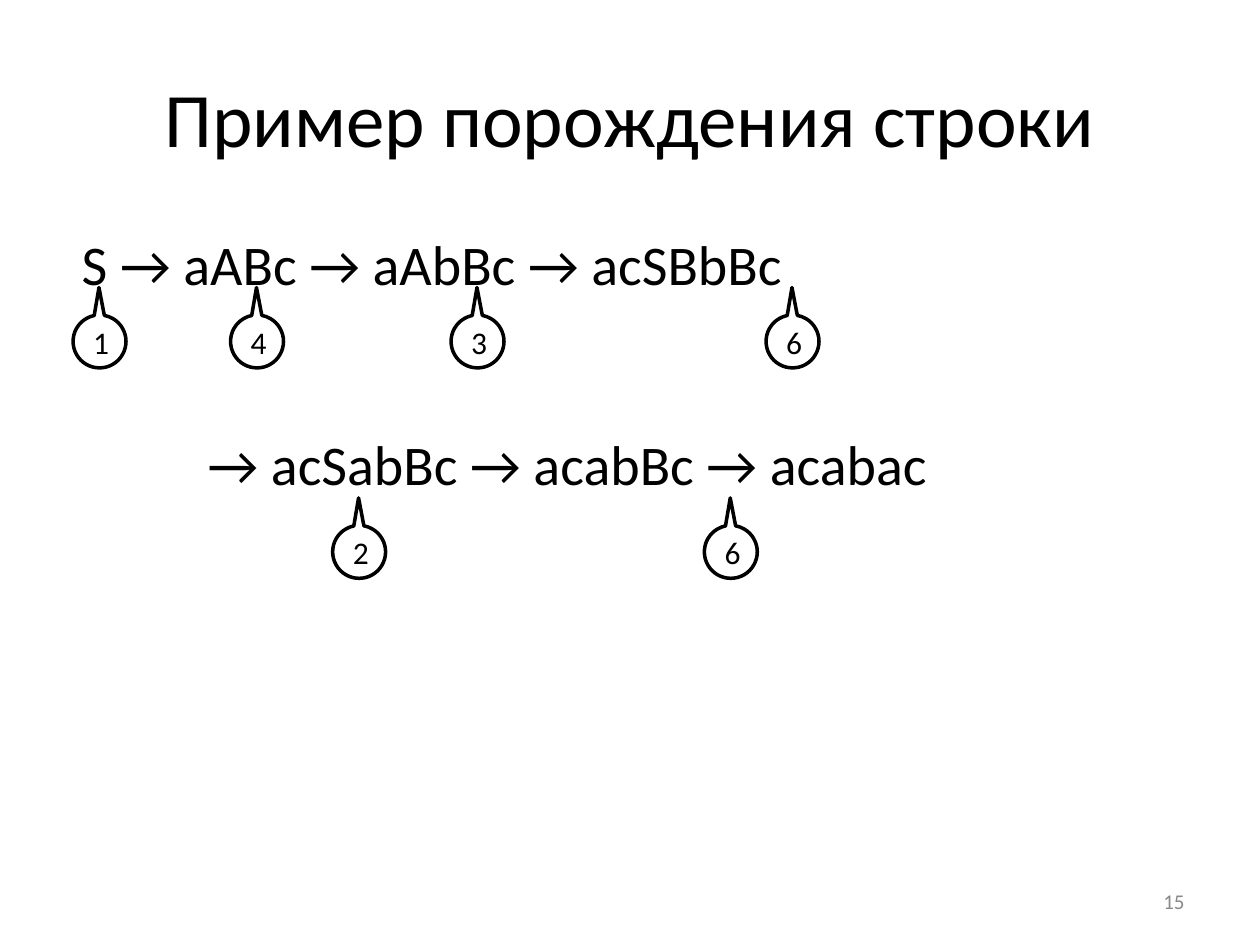
import pptx
import pptx.util
import pptx.dml.color
import pptx.enum.shapes
import pptx.enum.text

Inches, Pt = pptx.util.Inches, pptx.util.Pt
ALIGN = pptx.enum.text.PP_ALIGN
ANCHOR = pptx.enum.text.MSO_ANCHOR
SLIDE_WIDTH, SLIDE_HEIGHT = 10, 7.5
BADGE_SIZE = 0.42
SECOND_STEP_INDENT = 1
SECOND_STEP_GAP = 76


def color(hex_value):
    return pptx.dml.color.RGBColor.from_string(hex_value)


def write(paragraph, text, size=32, hex_value="000000", align=ALIGN.LEFT, gap=0):
    paragraph.alignment = align
    paragraph.space_before = Pt(gap)
    run = paragraph.add_run()
    run.text = text
    run.font.name = "Calibri"
    run.font.size = Pt(size)
    run.font.color.rgb = color(hex_value)


def text_frame(slide, box, anchor=ANCHOR.MIDDLE):
    frame = slide.shapes.add_textbox(*map(Inches, box)).text_frame
    frame.word_wrap = True
    frame.vertical_anchor = anchor
    return frame


def add_title(slide, box):
    heading = text_frame(slide, box)
    write(heading.paragraphs[0], "Пример порождения строки", size=44, align=ALIGN.CENTER)


def add_derivation(slide, box):
    derivation = text_frame(slide, box, ANCHOR.TOP)
    derivation.margin_top = Inches(0.07)
    write(derivation.paragraphs[0], "S → aABc → aAbBc → acSBbBc")
    continuation = derivation.add_paragraph()
    write(continuation, "→ acSabBc → acabBc → acabac", gap=SECOND_STEP_GAP)
    indent = continuation._p.get_or_add_pPr()
    indent.set("marL", str(Inches(SECOND_STEP_INDENT)))
    indent.set("indent", "0")


def add_rule_badge(slide, box, rule):
    badge = slide.shapes.add_shape(
        pptx.enum.shapes.MSO_SHAPE.OVAL_CALLOUT, *map(Inches, box))
    badge.shadow.inherit = False
    badge.fill.background()
    badge.line.color.rgb = color("000000")
    badge.line.width = Pt(2)
    badge.adjustments[0] = -0.01
    badge.adjustments[1] = -1.02
    badge.text_frame.word_wrap = True
    badge.text_frame.vertical_anchor = ANCHOR.MIDDLE
    write(badge.text_frame.paragraphs[0], rule, size=18, align=ALIGN.CENTER)


def add_rule_row(slide, top, rules):
    for left, rule in rules:
        add_rule_badge(slide, (left, top, BADGE_SIZE, BADGE_SIZE), rule)


def add_page_number(slide, box):
    page = text_frame(slide, box)
    write(page.paragraphs[0], "15", size=12, hex_value="898989", align=ALIGN.RIGHT)


def main():
    deck = pptx.Presentation()
    deck.slide_width, deck.slide_height = Inches(SLIDE_WIDTH), Inches(SLIDE_HEIGHT)
    slide = deck.slides.add_slide(deck.slide_layouts[6])
    add_title(slide, (0.05 * SLIDE_WIDTH, 0.04 * SLIDE_HEIGHT, 0.9 * SLIDE_WIDTH, 1.25))
    add_derivation(slide, (0.55, 1.75, 0.9 * SLIDE_WIDTH, 3.33))
    add_page_number(slide, (7.17, 6.95, 2.33, 0.4))
    add_rule_row(slide, 2.5, [(0.58, "1"), (1.83, "4"), (3.58, "3"), (6.08, "6")])
    add_rule_row(slide, 4.17, [(2.64, "2"), (5.59, "6")])
    deck.save("out.pptx")


if __name__ == "__main__":
    main()
